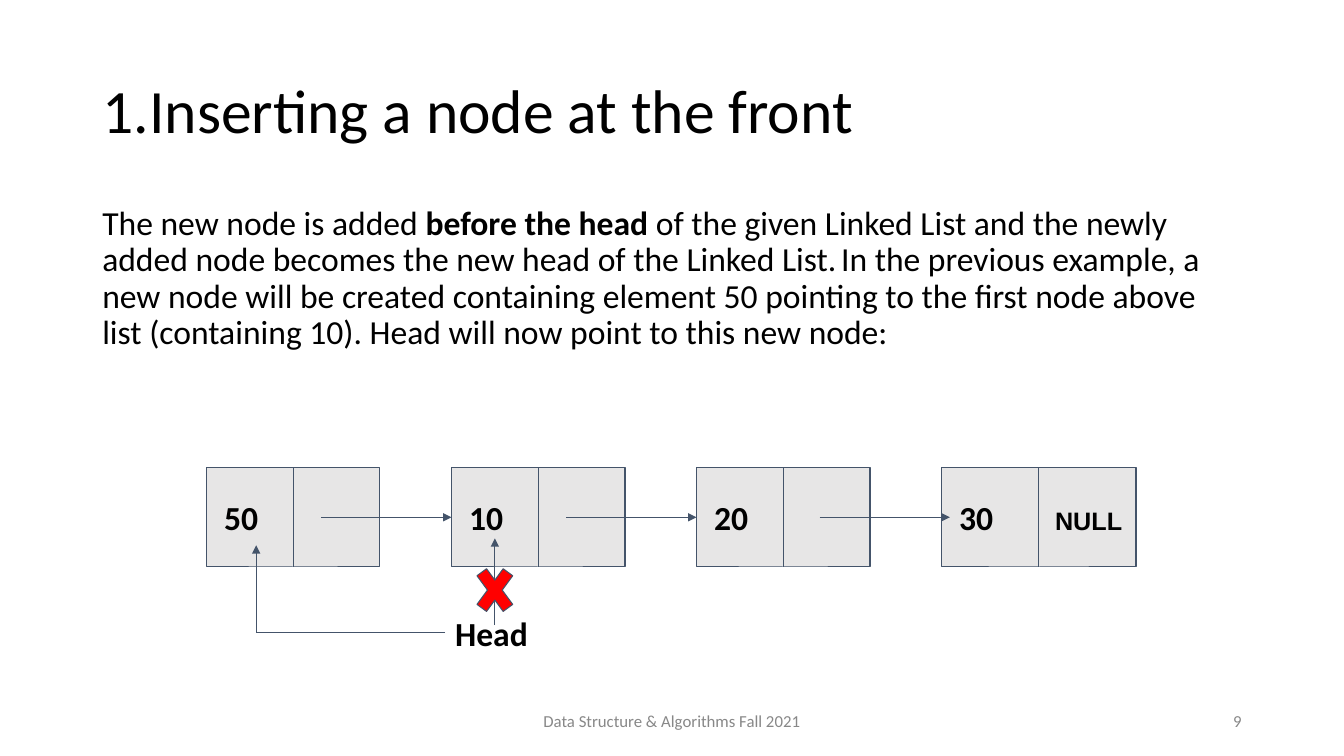
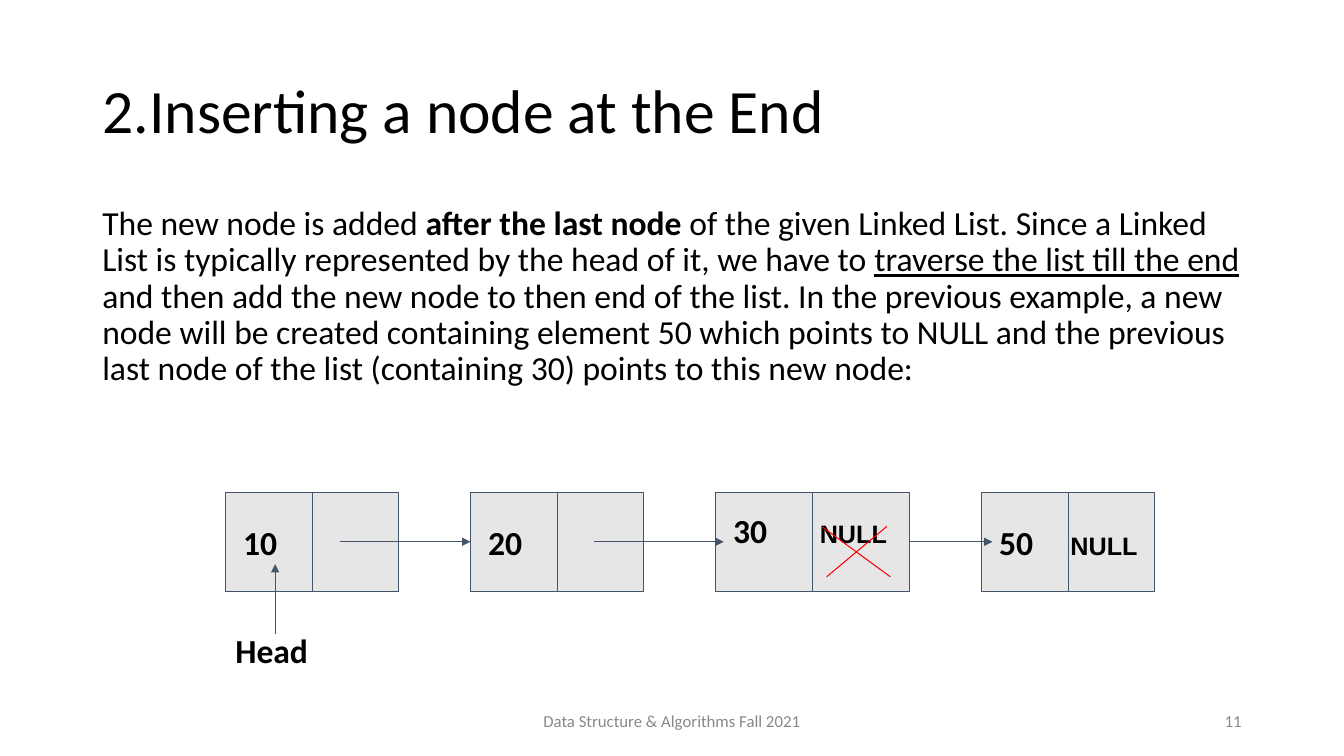
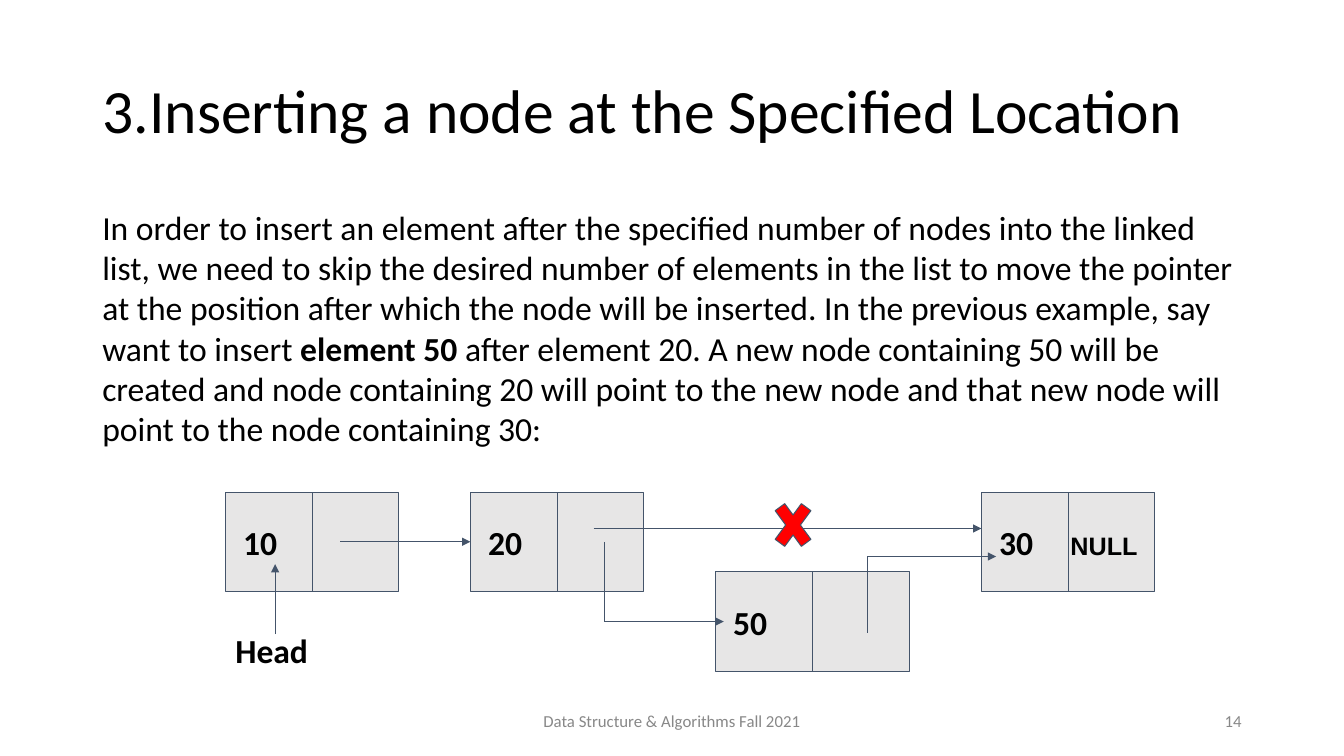
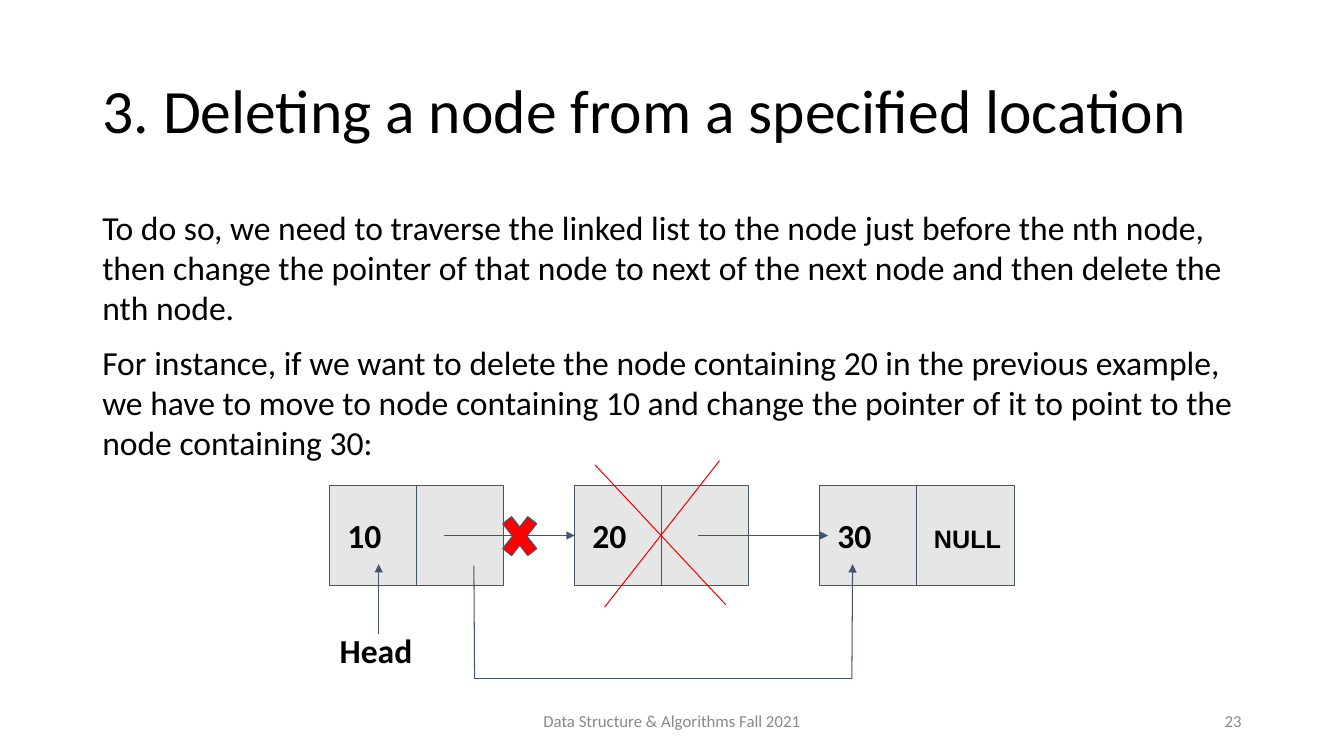
from itertools import pairwise
from typing import NamedTuple

from lxml import etree
from pptx import Presentation
from pptx.dml.color import RGBColor
from pptx.enum.shapes import MSO_CONNECTOR, MSO_SHAPE
from pptx.enum.text import MSO_ANCHOR, MSO_AUTO_SIZE, PP_ALIGN
from pptx.oxml.ns import qn
from pptx.util import Pt

STRAIGHT = MSO_CONNECTOR.STRAIGHT
RECTANGLE, CROSS = MSO_SHAPE.RECTANGLE, MSO_SHAPE.MATH_MULTIPLY
LEFT, CENTER, RIGHT = PP_ALIGN.LEFT, PP_ALIGN.CENTER, PP_ALIGN.RIGHT
TOP, MIDDLE = MSO_ANCHOR.TOP, MSO_ANCHOR.MIDDLE

COLORS = {"text": "000000", "muted": "888888", "node": "E7E6E6", "line": "44546A", "strike": "FF0000"}
FONT, NULL_FONT = "Calibri", "Arial"
FOOTER = "Data Structure & Algorithms Fall 2021"

TITLE_AREA = (66, 29, 828, 104.5)
BODY_AREA = (66, 144, 828, 342.5)
FOOTER_AREA = (318, 500.5, 324, 29)
NUMBER_AREA = (678, 500.5, 216, 29)
TEXT_INSETS = (7.2, 3.6, 7.2, 3.6)

NODE_WIDTH, WIDE_NODE_WIDTH, NODE_HEIGHT, NODE_GAP = 124, 139, 71, 51
VALUE_INSET = 12.6
HEAD_SIZE = (70, 44)

# Pointer arrows: start from the node's left edge, reach past the next node's left edge
LINK, DEEP_LINK, EDGE_LINK = (82, 0), (88, 6), (WIDE_NODE_WIDTH, 8)


class Node(NamedTuple):
    """One list node; null_tab places NULL, drop lowers the box, lift raises its text."""
    value: str
    link: tuple = ()
    width: float = NODE_WIDTH
    null_tab: float = 0
    drop: float = 0
    lift: float = 0


SLIDES = [
    {
        "number": "9",
        "title": "1.Inserting a node at the front",
        "line_spacing": 0.9,
        "body": [[
            ("The new node is added ", ""),
            ("before the head", "bold"),
            (" of the given Linked List and the newly added node becomes the new head "
             "of the Linked List.", ""),
            (" ", "thin"),
            ("In the previous example, a new node will be created containing element 50 "
             "pointing to the first node above list (containing 10). Head will now point "
             "to this new node:", ""),
        ]],
        "origin": (147.5, 334),
        "nodes": [
            Node("50", LINK), Node("10", LINK), Node("20", DEEP_LINK),
            Node("30", width=WIDE_NODE_WIDTH, null_tab=68.5),
        ],
        "head": (318, 430.5),
        "arrows": [
            [(318, 452), (183, 452), (183, 389.5)],
            [(353.5, 446.5), (353.5, 384.5)],
        ],
        "crosses": [(335.5, 397, 36, 49)],
        "strikes": [],
    },
    {
        "number": "11",
        "title": "2.Inserting a node at the End",
        "line_spacing": 0.9,
        "body": [[
            ("The new node is added ", ""),
            ("after the last node", "bold"),
            (" of the given Linked List. Since a Linked List is typically represented by "
             "the head of it, we have to ", ""),
            ("traverse the list till the end", "underline"),
            (" and then add the new node to then end of the list. In the previous example, "
             "a new node will be created containing element 50 which points to NULL and the "
             "previous last node of the list (containing 30) points to this new node:", ""),
        ]],
        "origin": (161, 351.5),
        "nodes": [
            Node("10", LINK), Node("20", DEEP_LINK),
            Node("30", EDGE_LINK, WIDE_NODE_WIDTH, null_tab=62, lift=8.5),
            Node("50", null_tab=51),
        ],
        "head": (161, 443),
        "arrows": [[(196.5, 453), (196.5, 403)]],
        "crosses": [],
        "strikes": [[(633.5, 376), (590.5, 412)], [(587.5, 376.5), (636, 412)]],
    },
    {
        "number": "14",
        "title": "3.Inserting a node at the Specified Location",
        "line_spacing": 1.0,
        "body": [[
            ("In order to insert an element after the specified number of nodes into the "
             "linked list, we need to skip the desired number of elements in the list to "
             "move the pointer at the position after which the node will be inserted. In "
             "the previous example, say want to insert ", ""),
            ("element 50", "bold"),
            (" after element 20. A new node containing 50 will be created and node "
             "containing 20 will point to the new node and that new node will point to the "
             "node containing 30:", ""),
        ]],
        "origin": (161, 351.5),
        "nodes": [
            Node("10", LINK), Node("20"),
            Node("50", width=WIDE_NODE_WIDTH, drop=57),
            Node("30", null_tab=51),
        ],
        "head": (161, 443),
        "arrows": [
            [(196.5, 453), (196.5, 403)],
            [(424, 377.5), (701, 377.5)],
            [(431.5, 387), (431.5, 444), (517, 444)],
            [(620, 452), (620, 397.5), (711.5, 397.5)],
        ],
        "crosses": [(548.5, 350.5, 36, 49)],
        "strikes": [],
    },
    {
        "number": "23",
        "title": "3. Deleting a node from a specified location",
        "line_spacing": 1.0,
        "body": [
            [("To do so, we need to traverse the linked list to the node just before the nth "
              "node, then change the pointer of that node to next of the next node and then "
              "delete the nth node.", "")],
            [("For instance, if we want to delete the node containing 20 in the previous "
              "example, we have to move to node containing 10 and change the pointer of it "
              "to point to the node containing 30:", "")],
        ],
        "origin": (235.5, 347),
        "nodes": [
            Node("10", LINK), Node("20", DEEP_LINK),
            Node("30", width=WIDE_NODE_WIDTH, null_tab=69),
        ],
        "head": (235.5, 443),
        "arrows": [
            [(270.5, 453), (270.5, 403)],
            [(338.5, 404), (339, 485), (608.5, 485), (609, 403)],
        ],
        "crosses": [(354, 361, 34.5, 44)],
        "strikes": [[(514, 329), (432, 433.5)], [(425, 332), (518.5, 432)]],
    },
]


def color(name):
    return RGBColor.from_string(COLORS[name])


def style(span, size, name=FONT, bold=False, tint="text"):
    span.font.size = Pt(size)
    span.font.name = name
    span.font.bold = bold
    span.font.color.rgb = color(tint)


def set_frame(frame, insets, anchor):
    frame.word_wrap = True
    frame.auto_size = MSO_AUTO_SIZE.NONE
    frame.vertical_anchor = anchor
    frame.margin_left, frame.margin_top, frame.margin_right, frame.margin_bottom = map(Pt, insets)


def add_label(page, area, text, size, align=LEFT, insets=TEXT_INSETS, anchor=MIDDLE, **look):
    box = page.shapes.add_textbox(*map(Pt, area))
    set_frame(box.text_frame, insets, anchor)
    box.text_frame.text = text
    paragraph = box.text_frame.paragraphs[0]
    paragraph.alignment = align
    style(paragraph.runs[0], size, **look)


def add_title(page, text):
    title = page.shapes.title
    title.left, title.top, title.width, title.height = map(Pt, TITLE_AREA)
    set_frame(title.text_frame, TEXT_INSETS, MIDDLE)
    title.text_frame.text = text
    paragraph = title.text_frame.paragraphs[0]
    paragraph.alignment = LEFT
    paragraph.line_spacing = 0.9
    style(paragraph.runs[0], 44)


def add_body(page, paragraphs, line_spacing):
    frame = page.shapes.add_textbox(*map(Pt, BODY_AREA)).text_frame
    set_frame(frame, TEXT_INSETS, TOP)
    for index, spans in enumerate(paragraphs):
        paragraph = frame.add_paragraph() if index else frame.paragraphs[0]
        paragraph.line_spacing = line_spacing
        paragraph.space_before = Pt(10)
        for text, kind in spans:
            span = paragraph.add_run()
            span.text = text
            if kind == "thin":
                style(span, 11, NULL_FONT)
            else:
                style(span, 24, bold=kind == "bold")
            if kind == "underline":
                span.font.underline = True


def add_shape(page, kind, area, fill):
    shape = page.shapes.add_shape(kind, *map(Pt, area))
    shape.shadow.inherit = False
    shape.fill.solid()
    shape.fill.fore_color.rgb = color(fill)
    shape.line.color.rgb = color("line")
    shape.line.width = Pt(0.75)
    return shape


def add_line(page, start, end, tint="line", arrow=False):
    line = page.shapes.add_connector(STRAIGHT, *map(Pt, start + end))
    line.line.color.rgb = color(tint)
    line.line.width = Pt(0.75)
    if arrow:
        etree.SubElement(line.line._get_or_add_ln(), qn("a:tailEnd"), type="triangle")
    etree.SubElement(line._element.spPr, qn("a:effectLst"))


def add_arrow(page, points):
    """Draw a bent line whose last leg carries the arrowhead."""
    legs = list(pairwise(points))
    for leg in legs:
        add_line(page, *leg, arrow=leg is legs[-1])


def add_node(page, node, left, top):
    shape = add_shape(page, RECTANGLE, (left, top, node.width, NODE_HEIGHT), "node")
    set_frame(shape.text_frame, (VALUE_INSET, 7.2, 0, 7.2 + 2 * node.lift), MIDDLE)
    paragraph = shape.text_frame.paragraphs[0]
    paragraph.alignment = LEFT
    value = paragraph.add_run()
    value.text = node.value
    style(value, 24, bold=True)
    if node.null_tab:
        tabs = etree.SubElement(paragraph._p.get_or_add_pPr(), qn("a:tabLst"))
        etree.SubElement(tabs, qn("a:tab"), pos=str(Pt(node.null_tab)), algn="l")
        null = paragraph.add_run()
        null.text = "\tNULL"
        style(null, 18, NULL_FONT, bold=True)
    middle = left + node.width / 2
    add_line(page, (middle, top), (middle, top + NODE_HEIGHT))


def add_list(page, nodes, origin):
    left, top = origin
    links = []
    for node in nodes:
        add_node(page, node, left, top + node.drop)
        following = left + node.width + NODE_GAP
        if node.link:
            start, reach = node.link
            height = top + NODE_HEIGHT / 2
            links.append([(left + start, height), (following + reach, height)])
        left = following
    for link in links:
        add_arrow(page, link)


def add_page(deck, content):
    page = deck.slides.add_slide(deck.slide_layouts[5])
    add_title(page, content["title"])
    add_body(page, content["body"], content["line_spacing"])
    add_list(page, content["nodes"], content["origin"])
    add_label(page, content["head"] + HEAD_SIZE, "Head", 24, insets=(7.2,) * 4, anchor=TOP, bold=True)
    for points in content["arrows"]:
        add_arrow(page, points)
    for area in content["crosses"]:
        add_shape(page, CROSS, area, "strike")
    for start, end in content["strikes"]:
        add_line(page, start, end, "strike")
    add_label(page, FOOTER_AREA, FOOTER, 12, CENTER, tint="muted")
    add_label(page, NUMBER_AREA, content["number"], 12, RIGHT, tint="muted")


def main():
    deck = Presentation()
    deck.slide_width, deck.slide_height = Pt(960), Pt(540)
    for content in SLIDES:
        add_page(deck, content)
    deck.save("out.pptx")


if __name__ == "__main__":
    main()
